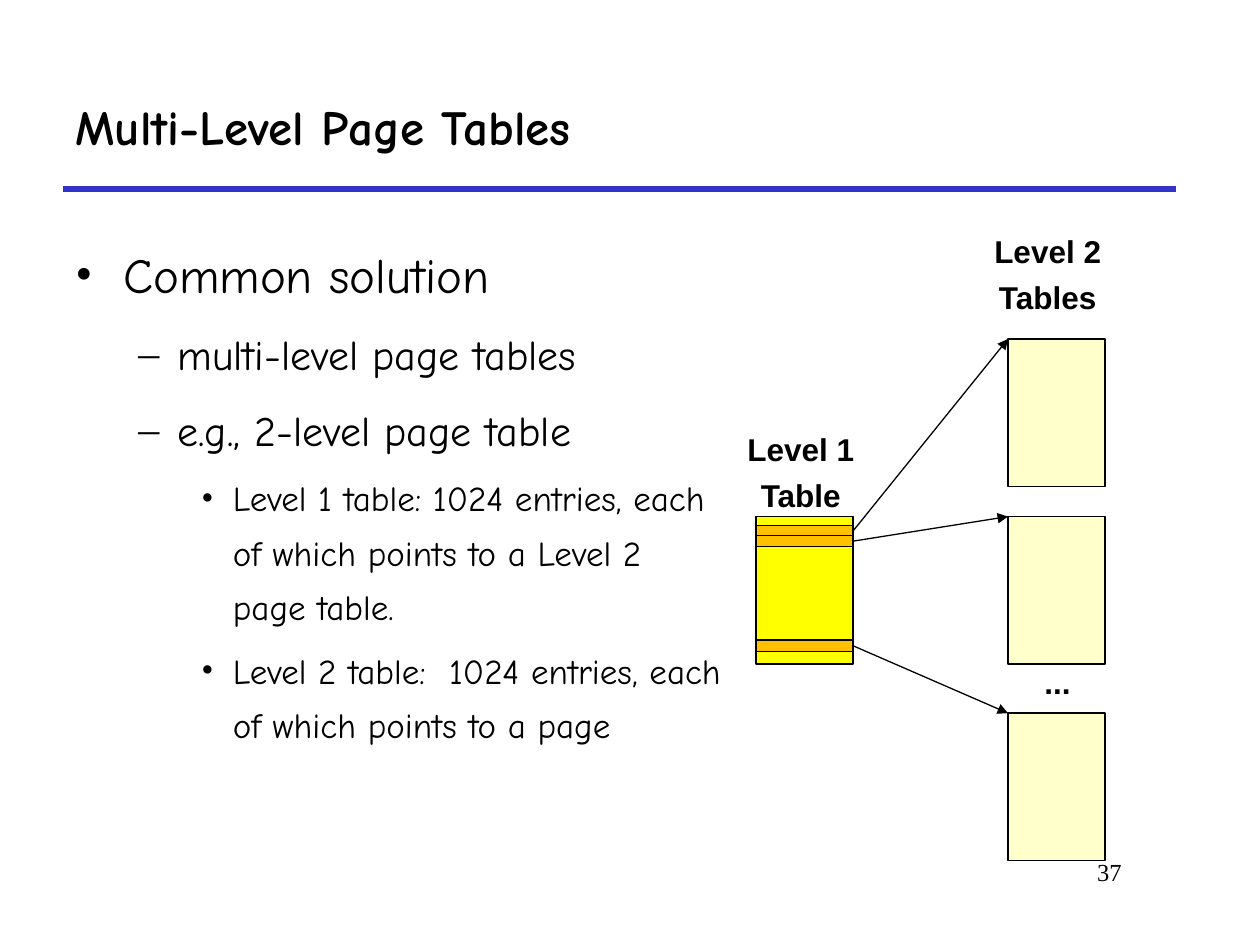
from lxml.etree import SubElement
from pptx import Presentation
from pptx.dml.color import RGBColor
from pptx.enum.shapes import MSO_CONNECTOR, MSO_SHAPE
from pptx.enum.text import MSO_ANCHOR, PP_ALIGN
from pptx.oxml.ns import qn
from pptx.util import Inches, Pt

COLORS = {"text": "000000", "rule": "3333CC", "level1": "FFFF00",
          "level2": "FFFFCC", "entry": "FFC000"}

TITLE = "Multi-Level Page Tables"
PAGE_NUMBER = "37"
OUTLINE = [
    (0, "Common solution"),
    (1, "multi-level page tables"),
    (1, "e.g., 2-level page table"),
    (2, "Level 1 table: 1024 entries, each of which points to a Level 2 page table."),
    (2, "Level 2 table:  1024 entries, each of which points to a page"),
]
# Per outline level: bullet, text indent, bullet hang, size, space before
LEVELS = [("•", 0.38, 0.38, 28, 7), ("–", 0.81, 0.31, 24, 6), ("•", 1.25, 0.25, 20, 5)]

# Diagram labels: lines, box, alignment
LABELS = [
    (["Level 1", "Table"], (5.83, 3.4, 1.05, 0.73), PP_ALIGN.CENTER),
    (["Level 2", "Tables"], (7.79, 1.83, 1.05, 0.73), PP_ALIGN.CENTER),
    (["..."], (8.19, 5.25, 0.41, 0.37), PP_ALIGN.LEFT),
]
TABLE_WIDTH, TABLE_HEIGHT, ENTRY_HEIGHT = 0.77, 1.17, 0.09
LEVEL1_LEFT, LEVEL1_TOP, LEVEL2_LEFT = 6, 4.1, 8
# Top of each Level 1 entry and of the Level 2 table it points to
POINTERS = [(4.17, 2.69), (4.25, 4.1), (5.08, 5.66)]


def add_text(slide, lines, box, font="Arial", size=18, bold=False, align=PP_ALIGN.LEFT,
             anchor=MSO_ANCHOR.TOP, wrap=True, spacing=None, before=None):
    shape = slide.shapes.add_textbox(*map(Inches, box))
    frame = shape.text_frame
    frame.word_wrap = wrap
    frame.vertical_anchor = anchor
    frame.text = "\n".join(lines)
    for paragraph in frame.paragraphs:
        paragraph.alignment = align
        paragraph.line_spacing = spacing
        if before is not None:
            paragraph.space_before = Pt(before)
        run_font = paragraph.runs[0].font
        run_font.name, run_font.size, run_font.bold = font, Pt(size), bold
        run_font.color.rgb = RGBColor.from_string(COLORS["text"])
    return frame


def add_outline(slide, box):
    frame = add_text(slide, [text for _, text in OUTLINE], box, font="Comic Neue", spacing=1.3)
    for paragraph, (level, _) in zip(frame.paragraphs, OUTLINE):
        bullet, indent, hang, size, before = LEVELS[level]
        paragraph.level = level
        paragraph.space_before = Pt(before)
        paragraph.runs[0].font.size = Pt(size)
        properties = paragraph._p.get_or_add_pPr()
        properties.set("marL", str(Inches(indent)))
        properties.set("indent", str(-Inches(hang)))
        SubElement(properties, qn("a:buFont"), typeface="Times New Roman")
        SubElement(properties, qn("a:buChar"), char=bullet)


def add_box(slide, left, top, height, color):
    box = map(Inches, (left, top, TABLE_WIDTH, height))
    shape = slide.shapes.add_shape(MSO_SHAPE.RECTANGLE, *box)
    shape.shadow.inherit = False
    shape.fill.solid()
    shape.fill.fore_color.rgb = RGBColor.from_string(COLORS[color])
    shape.line.color.rgb = RGBColor.from_string(COLORS["text"])
    shape.line.width = Pt(0.75)


def add_line(slide, start, end, color="text", width=0.75, arrow=False):
    line = slide.shapes.add_connector(MSO_CONNECTOR.STRAIGHT, *map(Inches, start + end))
    line.line.color.rgb = RGBColor.from_string(COLORS[color])
    line.line.width = Pt(width)
    if arrow:
        SubElement(line.line._get_or_add_ln(), qn("a:tailEnd"), type="triangle")
    SubElement(line._element.spPr, qn("a:effectLst"))


def add_diagram(slide):
    add_box(slide, LEVEL1_LEFT, LEVEL1_TOP, TABLE_HEIGHT, "level1")
    for entry_top, table_top in POINTERS:
        add_box(slide, LEVEL2_LEFT, table_top, TABLE_HEIGHT, "level2")
        add_line(slide, (LEVEL1_LEFT + TABLE_WIDTH, entry_top + ENTRY_HEIGHT / 2),
                 (LEVEL2_LEFT, table_top), arrow=True)
    for entry_top, _ in POINTERS:
        add_box(slide, LEVEL1_LEFT, entry_top, ENTRY_HEIGHT, "entry")
    for lines, box, align in LABELS:
        add_text(slide, lines, box, bold=True, align=align, wrap=False, spacing=0.9, before=6.8)


def main():
    presentation = Presentation()
    presentation.slide_width, presentation.slide_height = Inches(10), Inches(7.5)
    slide = presentation.slides.add_slide(presentation.slide_layouts[6])
    add_line(slide, (0.5, 1.5), (9.33, 1.5), color="rule", width=3)
    add_text(slide, [PAGE_NUMBER], (7.58, 6.75, 1.42, 0.5), font="Times New Roman",
             size=14, align=PP_ALIGN.RIGHT)
    add_text(slide, [TITLE], (0.5, 0.5, 8.83, 1), font="Comic Neue", size=28, bold=True,
             anchor=MSO_ANCHOR.MIDDLE)
    add_outline(slide, (0.5, 1.75, 5.33, 4.83))
    add_diagram(slide)
    presentation.save("out.pptx")


if __name__ == "__main__":
    main()
